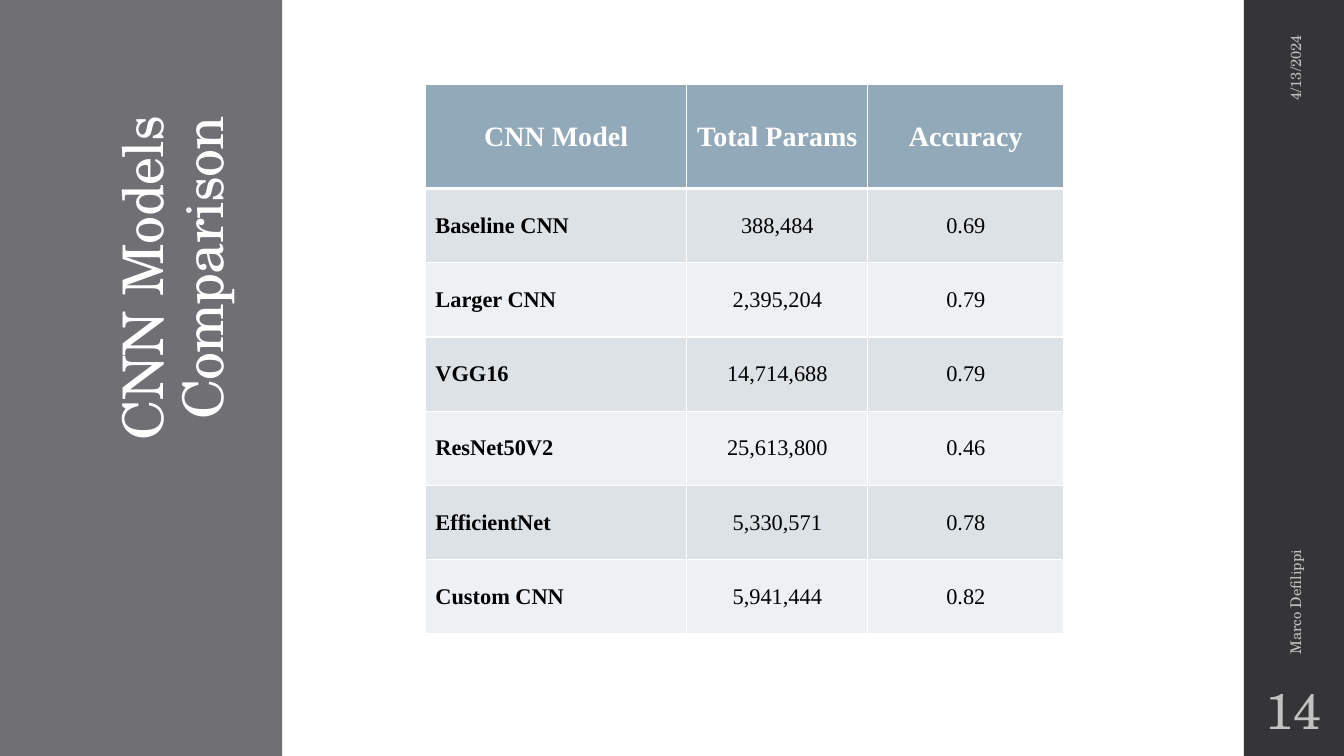
import pptx
import pptx.util
import pptx.dml.color
import pptx.enum.shapes
import pptx.enum.text
import pptx.oxml
import pptx.oxml.ns

Cm, Pt = pptx.util.Cm, pptx.util.Pt
ALIGN = pptx.enum.text.PP_ALIGN
ANCHOR = pptx.enum.text.MSO_ANCHOR

# Content
TITLE = "CNN Models Comparison"
DATE, AUTHOR, NUMBER = "4/13/2024", "Marco Defilippi", "14"
HEADINGS = ("CNN Model", "Total Params", "Accuracy")
MODELS = [
    ("Baseline CNN", "388,484", "0.69"),
    ("Larger CNN", "2,395,204", "0.79"),
    ("VGG16", "14,714,688", "0.79"),
    ("ResNet50V2", "25,613,800", "0.46"),
    ("EfficientNet", "5,330,571", "0.78"),
    ("Custom CNN", "5,941,444", "0.82"),
]

# Format, lengths in centimetres
COLORS = {"white": "FFFFFF", "black": "000000", "left": "6F6F74", "right": "353537",
          "heading": "92A9B9", "odd": "DCE2E6", "even": "EEF1F3"}
PAGE_WIDTH, PAGE_HEIGHT = 33.87, 19.05
LEFT_WIDTH, RIGHT_WIDTH = 7.11, 2.52
RIGHT_EDGE = PAGE_WIDTH - RIGHT_WIDTH
COLUMN_WIDTHS = (6.59, 4.56, 4.94)
HEADING_HEIGHT, ROW_HEIGHT = 2.62, 1.87
SLIDE_FONT, TABLE_FONT = "TeX Gyre Schola", "Times New Roman"


def rgb(name):
    return pptx.dml.color.RGBColor.from_string(COLORS[name])


def write(frame, text, font=SLIDE_FONT, size=16, color="white", bold=False,
          align=ALIGN.LEFT, line=None, after=6, opacity=100, tracking=None):
    para = frame.paragraphs[0]
    para.alignment, para.line_spacing, para.space_after = align, line, Pt(after)
    span = para.add_run()
    span.text = text
    span.font.name, span.font.size, span.font.bold = font, Pt(size), bold
    span.font.color.rgb = rgb(color)
    properties = span.font._element
    if opacity < 100:
        shade = properties.find(".//" + pptx.oxml.ns.qn("a:srgbClr"))
        shade.append(pptx.oxml.parse_xml(
            f'<a:alpha {pptx.oxml.ns.nsdecls("a")} val="{opacity * 1000}"/>'))
    if tracking is not None:
        properties.set("spc", str(round(tracking * 100)))


def add_panel(page, left, width, color):
    panel = page.shapes.add_shape(pptx.enum.shapes.MSO_SHAPE.RECTANGLE,
                                  Cm(left), 0, Cm(width), Cm(PAGE_HEIGHT))
    panel.shadow.inherit = False
    panel.fill.solid()
    panel.fill.fore_color.rgb = rgb(color)
    panel.line.fill.background()
    return panel


def add_label(page, text, left, top, width, height, rotation=0, margin=0.25, **style):
    box = page.shapes.add_textbox(Cm(left), Cm(top), Cm(width), Cm(height))
    box.rotation = rotation
    frame = box.text_frame
    frame.word_wrap = True
    frame.vertical_anchor = ANCHOR.MIDDLE
    frame.margin_left = frame.margin_right = Cm(margin)
    write(frame, text, opacity=70, **style)


def set_borders(cell, top, bottom):
    properties = cell._tc.get_or_add_tcPr()
    for side, points in (("L", 1), ("R", 1), ("T", top), ("B", bottom)):
        properties.append(pptx.oxml.parse_xml(
            f'<a:ln{side} {pptx.oxml.ns.nsdecls("a")} w="{Pt(points)}"><a:solidFill>'
            f'<a:srgbClr val="{COLORS["white"]}"/></a:solidFill></a:ln{side}>'))


deck = pptx.Presentation()
deck.slide_width, deck.slide_height = Cm(PAGE_WIDTH), Cm(PAGE_HEIGHT)
page = deck.slides.add_slide(deck.slide_layouts[5])
page.background.fill.solid()
page.background.fill.fore_color.rgb = rgb("white")

# Side panels and the upright title
left_panel = add_panel(page, 0, LEFT_WIDTH, "left")
add_panel(page, RIGHT_EDGE, RIGHT_WIDTH, "right")
title = page.shapes.title
left_panel._element.addnext(title._element)
title.left, title.top, title.width, title.height = Cm(-3.68), Cm(6.98), Cm(14.05), Cm(5.44)
title.rotation = 270
title.text_frame.word_wrap = True
title.text_frame.auto_size = pptx.enum.text.MSO_AUTO_SIZE.NONE
title.text_frame.vertical_anchor = ANCHOR.BOTTOM
write(title.text_frame, TITLE, size=40, align=ALIGN.RIGHT, line=0.9, after=0, tracking=-0.5)

# Date, author and page number
add_label(page, DATE, 30, 2.77, 5.28, 1.02, rotation=270, size=10.5, align=ALIGN.RIGHT)
add_label(page, AUTHOR, 27.66, 11.25, 9.96, 1.02, rotation=270, size=10.5)
add_label(page, NUMBER, RIGHT_EDGE, 17.15, RIGHT_WIDTH, 1.65, margin=0.13,
          size=36, align=ALIGN.CENTER, line=0.9)

# Comparison table
rows = [HEADINGS] + MODELS
table = page.shapes.add_table(
    len(rows), len(HEADINGS), Cm(10.72), Cm(2.13), Cm(sum(COLUMN_WIDTHS)),
    Cm(HEADING_HEIGHT + ROW_HEIGHT * len(MODELS))).table
for column, width in zip(table.columns, COLUMN_WIDTHS):
    column.width = Cm(width)
for r, values in enumerate(rows):
    heading = r == 0
    table.rows[r].height = Cm(HEADING_HEIGHT if heading else ROW_HEIGHT)
    for c, value in enumerate(values):
        cell = table.cell(r, c)
        cell.vertical_anchor = ANCHOR.MIDDLE
        set_borders(cell, top=3 if r == 1 else 1, bottom=3 if heading else 1)
        cell.fill.solid()
        cell.fill.fore_color.rgb = rgb("heading" if heading else "odd" if r % 2 else "even")
        write(cell.text_frame, value, font=TABLE_FONT, size=20 if heading else 16,
              color="white" if heading else "black", bold=heading or c == 0,
              align=ALIGN.CENTER if heading or c else ALIGN.JUSTIFY)

deck.save("out.pptx")
